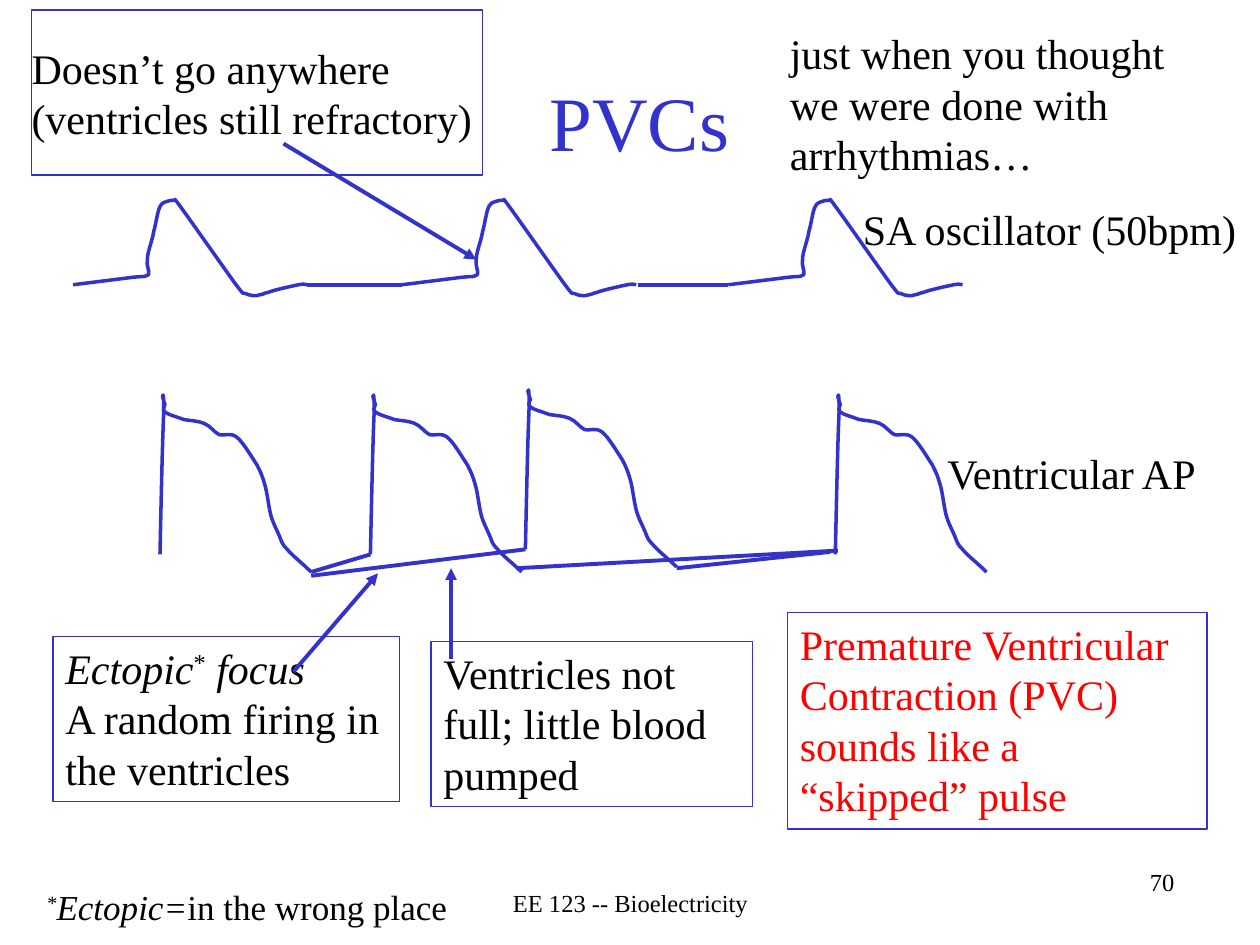
from dataclasses import dataclass
from lxml.etree import SubElement
from pptx import Presentation
from pptx.dml.color import RGBColor
from pptx.enum.shapes import MSO_CONNECTOR, MSO_SHAPE
from pptx.enum.text import MSO_ANCHOR, PP_ALIGN
from pptx.oxml.ns import qn
from pptx.util import Inches, Pt


@dataclass(frozen=True)
class Theme:
    font: str = "Times New Roman"
    blue: RGBColor = RGBColor(0x33, 0x33, 0xCC)
    black: RGBColor = RGBColor(0, 0, 0)
    red: RGBColor = RGBColor(0xFF, 0, 0)
    title: int = 44
    body: int = 24
    note: int = 20
    footer: int = 14
    border: float = 0.75
    wave: float = 2
    link: float = 2.25


theme = Theme()
deck = Presentation()
deck.slide_width, deck.slide_height = Inches(10), Inches(7.5)
page = deck.slides.add_slide(deck.slide_layouts[6])
CELL = deck.slide_width // 1000


def add_text(place, paragraphs, size=theme.body, color=theme.black, align=PP_ALIGN.LEFT,
             anchor=MSO_ANCHOR.TOP, framed=False, inset=True):
    area = [value * CELL for value in place]
    if framed:
        box = page.shapes.add_shape(MSO_SHAPE.RECTANGLE, *area)
        box.shadow.inherit = False
        box.fill.background()
        box.line.color.rgb = theme.blue
        box.line.width = Pt(theme.border)
    else:
        box = page.shapes.add_textbox(*area)
    frame = box.text_frame
    frame.word_wrap = True
    frame.vertical_anchor = anchor
    if not inset:
        frame.margin_left = frame.margin_right = frame.margin_top = frame.margin_bottom = 0
    for index, pieces in enumerate(paragraphs):
        para = frame.add_paragraph() if index else frame.paragraphs[0]
        para.alignment = align
        for words, italic, raised in pieces:
            span = para.add_run()
            span.text = words
            span.font.name = theme.font
            span.font.size = Pt(size)
            span.font.color.rgb = color
            span.font.italic = italic
            if raised:
                span.font._element.set("baseline", "30000")


def plain(words):
    return [[(words, False, False)]]


add_text((625, 683, 317, 50), plain("70"), theme.footer, align=PP_ALIGN.RIGHT)
add_text((75, 33, 865, 125), plain("PVCs"), theme.title, theme.blue,
         PP_ALIGN.CENTER, MSO_ANCHOR.MIDDLE)
add_text((342, 700, 317, 33), plain("EE 123 -- Bioelectricity"), theme.footer,
         align=PP_ALIGN.CENTER)
add_text((675, 157, 325, 50), plain("SA oscillator (50bpm)"))
add_text((742, 350, 233, 50), plain("Ventricular AP"))
add_text((617, 17, 358, 131), plain("just when you thought we were done with arrhythmias…"))
add_text((27, 698, 350, 44), [[("*", True, True), ("Ectopic=", True, False),
                               ("in the wrong place", False, False)]], theme.note)

add_text((42, 505, 275, 131), [
    [("Ectopic", True, False), ("*", False, True), (" focus", True, False)],
    [("A random firing in the ventricles", False, False)],
], framed=True)
add_text((342, 509, 255, 131), plain("Ventricles not full; little blood pumped"), framed=True)
add_text((25, 8, 358, 131), plain("Doesn’t go anywhere (ventricles still refractory)"),
         anchor=MSO_ANCHOR.MIDDLE, framed=True, inset=False)
add_text((625, 486, 333, 172),
         plain("Premature Ventricular Contraction (PVC) sounds like a “skipped” pulse"),
         color=theme.red, framed=True)

ventricular_curves = [
    ((1, -46), (2, -92), (3, -113)), ((3, -134), (2, -124), (2, -125)),
    ((2, -126), (3, -121), (4, -119)), ((4, -117), (1, -115), (4, -113)),
    ((6, -111), (14, -109), (19, -107)), ((25, -106), (30, -106), (35, -104)),
    ((40, -102), (43, -97), (47, -95)), ((51, -94), (56, -97), (61, -93)),
    ((66, -89), (73, -77), (77, -71)), ((80, -65), (81, -63), (83, -56)),
    ((85, -50), (86, -39), (88, -31)), ((90, -24), (93, -19), (95, -14)),
    ((97, -9), (97, -8), (101, -4)), ((105, 1), (113, 7), (120, 14)),
]
oscillator_curves = [
    ((16, -2), (32, -4), (48, -6)), ((58, -7), (58, -6), (60, -8)),
    ((61, -11), (58, -15), (59, -20)), ((59, -26), (63, -35), (64, -42)),
    ((66, -49), (67, -58), (69, -62)), ((71, -66), (73, -65), (74, -66)),
    ((76, -67), (78, -67), (80, -67)), ((82, -66), (78, -72), (86, -61)),
    ((94, -50), (120, -13), (128, -2)), ((137, 10), (134, 6), (137, 7)),
    ((141, 9), (146, 9), (148, 8)), ((151, 8), (150, 7), (155, 6)),
    ((160, 4), (174, 1), (179, 0)), ((184, -1), (185, 0), (186, 0)),
]
waves = [(start, 226, oscillator_curves) for start in (58, 319, 578)]
waves += [(start, base, ventricular_curves)
          for start, base in ((127, 440), (294, 440), (417, 436), (663, 440))]

for start, base, curves in waves:
    builder = page.shapes.build_freeform(start, base, scale=CELL)
    builder.add_line_segments([(start + x, base + y) for *_, (x, y) in curves], close=False)
    wave = builder.convert_to_shape()
    wave.shadow.inherit = False
    wave.fill.background()
    wave.line.color.rgb = theme.blue
    wave.line.width = Pt(theme.wave)
    left = min(0, *(end[0] for *_, end in curves))
    top = min(0, *(end[1] for *_, end in curves))
    outline = next(wave._element.iter(qn("a:path")))
    for segment, curve in zip(outline.findall(qn("a:lnTo")), curves):
        bend = SubElement(outline, qn("a:cubicBezTo"))
        for x, y in curve:
            SubElement(bend, qn("a:pt"), x=str(x - left), y=str(y - top))
        outline.remove(segment)

links = [
    (247, 454, 294, 440, False), (410, 451, 665, 437, False),
    (244, 226, 319, 226, False), (506, 226, 578, 226, False),
    (247, 457, 417, 436, False), (537, 451, 659, 438, False),
    (233, 533, 300, 455, True), (358, 523, 358, 451, True),
    (225, 114, 378, 206, True),
]
for *ends, arrow in links:
    link = page.shapes.add_connector(MSO_CONNECTOR.STRAIGHT, *[value * CELL for value in ends])
    link.line.color.rgb = theme.blue
    link.line.width = Pt(theme.link)
    if arrow:
        SubElement(link.line._get_or_add_ln(), qn("a:tailEnd"), type="triangle")
    SubElement(link._element.spPr, qn("a:effectLst"))

deck.save("out.pptx")
